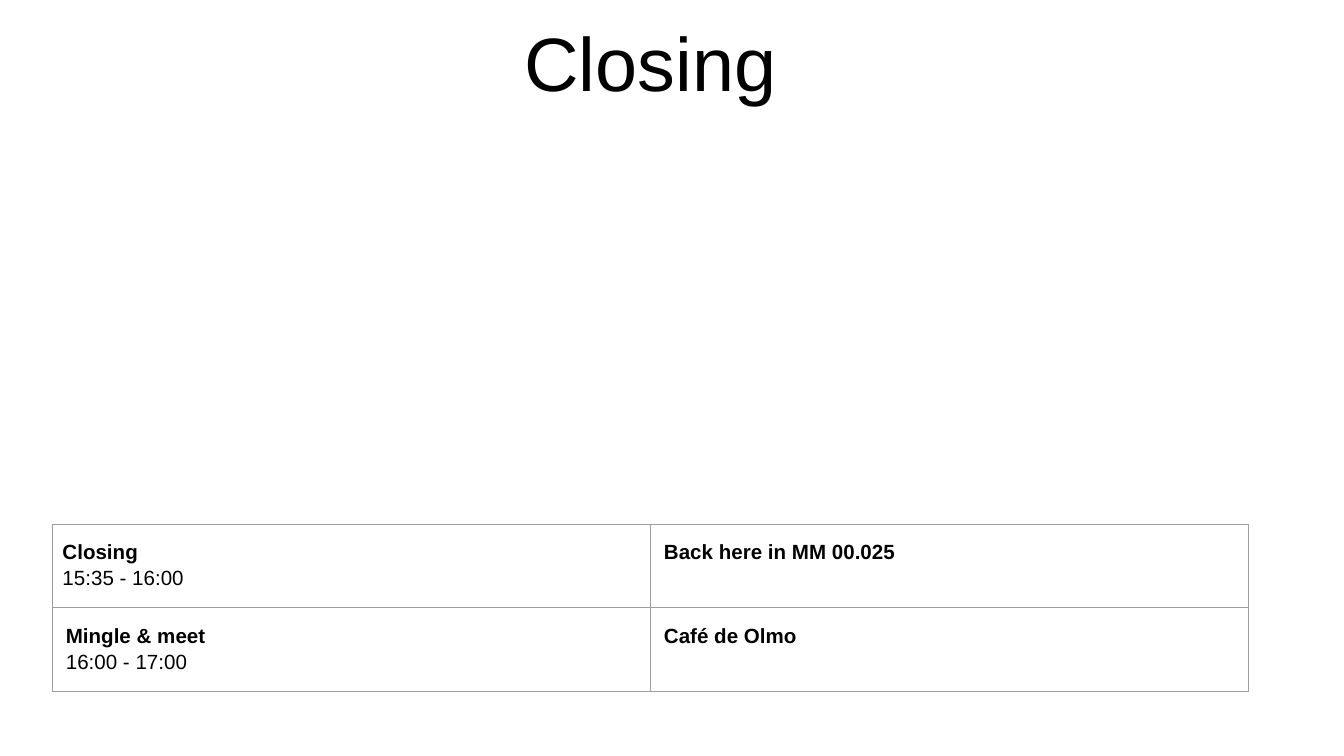
from lxml import etree
from pptx import Presentation
from pptx.dml.color import RGBColor
from pptx.enum.text import MSO_ANCHOR, PP_ALIGN
from pptx.oxml.ns import qn
from pptx.util import Emu, Pt

PX = 4572  # 200 px to the inch
BLACK = RGBColor(0x00, 0x00, 0x00)
GREY = RGBColor(0x9E, 0x9E, 0x9E)
BOTTOM, TOP = MSO_ANCHOR.BOTTOM, MSO_ANCHOR.TOP
CENTER, LEFT = PP_ALIGN.CENTER, PP_ALIGN.LEFT

TITLE_FONT = {"name": "Arial", "size": Pt(40.5), "bold": False}
CELL_FONT = {"name": "Arial", "size": Pt(11)}

# Each cell: left and right inset in px, then its lines (first one bold)
SCHEDULE = [
    [(15, ["Closing", "15:35 - 16:00"]), (20, ["Back here in MM 00.025"])],
    [(20, ["Mingle & meet", "16:00 - 17:00"]), (20, ["Café de Olmo"])],
]


def px(n):
    return Emu(n * PX)


def set_attrs(obj, values):
    for name, value in values.items():
        setattr(obj, name, value)


def set_insets(obj, x, y):
    set_attrs(obj, {"margin_left": px(x), "margin_right": px(x),
                    "margin_top": px(y), "margin_bottom": px(y)})


def add_line(p, text, font, align, spacing):
    set_attrs(p, {"alignment": align, "line_spacing": spacing})
    r = p.add_run()
    r.text = text
    set_attrs(r.font, font)
    r.font.color.rgb = BLACK


def add_borders(cell):
    tc_pr = cell._tc.get_or_add_tcPr()
    for i, side in enumerate(("lnL", "lnR", "lnT", "lnB")):
        ln = etree.Element(qn("a:" + side), w=str(Pt(0.75)))
        fill = etree.SubElement(ln, qn("a:solidFill"))
        etree.SubElement(fill, qn("a:srgbClr"), val=str(GREY))
        tc_pr.insert(i, ln)


def add_title(s, x, y, w, h):
    tf = s.shapes.add_textbox(px(x), px(y), px(w), px(h)).text_frame
    set_attrs(tf, {"word_wrap": True, "vertical_anchor": BOTTOM})
    set_insets(tf, 15, 8)
    add_line(tf.paragraphs[0], "Closing", TITLE_FONT, CENTER, 0.9)


def add_schedule(s, x, y, w, h):
    rows, cols = len(SCHEDULE), len(SCHEDULE[0])
    table = s.shapes.add_table(rows, cols, px(x), px(y), px(w), px(h)).table
    set_attrs(table, {"first_row": False, "horz_banding": False})
    for row, items in zip(table.rows, SCHEDULE):
        for cell, (inset, lines) in zip(row.cells, items):
            cell.fill.background()
            cell.vertical_anchor = TOP
            set_insets(cell, inset, 20)
            add_borders(cell)
            tf = cell.text_frame
            for i, text in enumerate(lines):
                p = tf.add_paragraph() if i else tf.paragraphs[0]
                add_line(p, text, {**CELL_FONT, "bold": i == 0}, LEFT, 1.15)


def main():
    prs = Presentation()
    set_attrs(prs, {"slide_width": px(2000), "slide_height": px(1125)})
    s = prs.slides.add_slide(prs.slide_layouts[6])
    add_title(s, 244, 72, 1448, 96)
    add_schedule(s, 78, 780, 1780, 248)
    prs.save("out.pptx")


if __name__ == "__main__":
    main()
